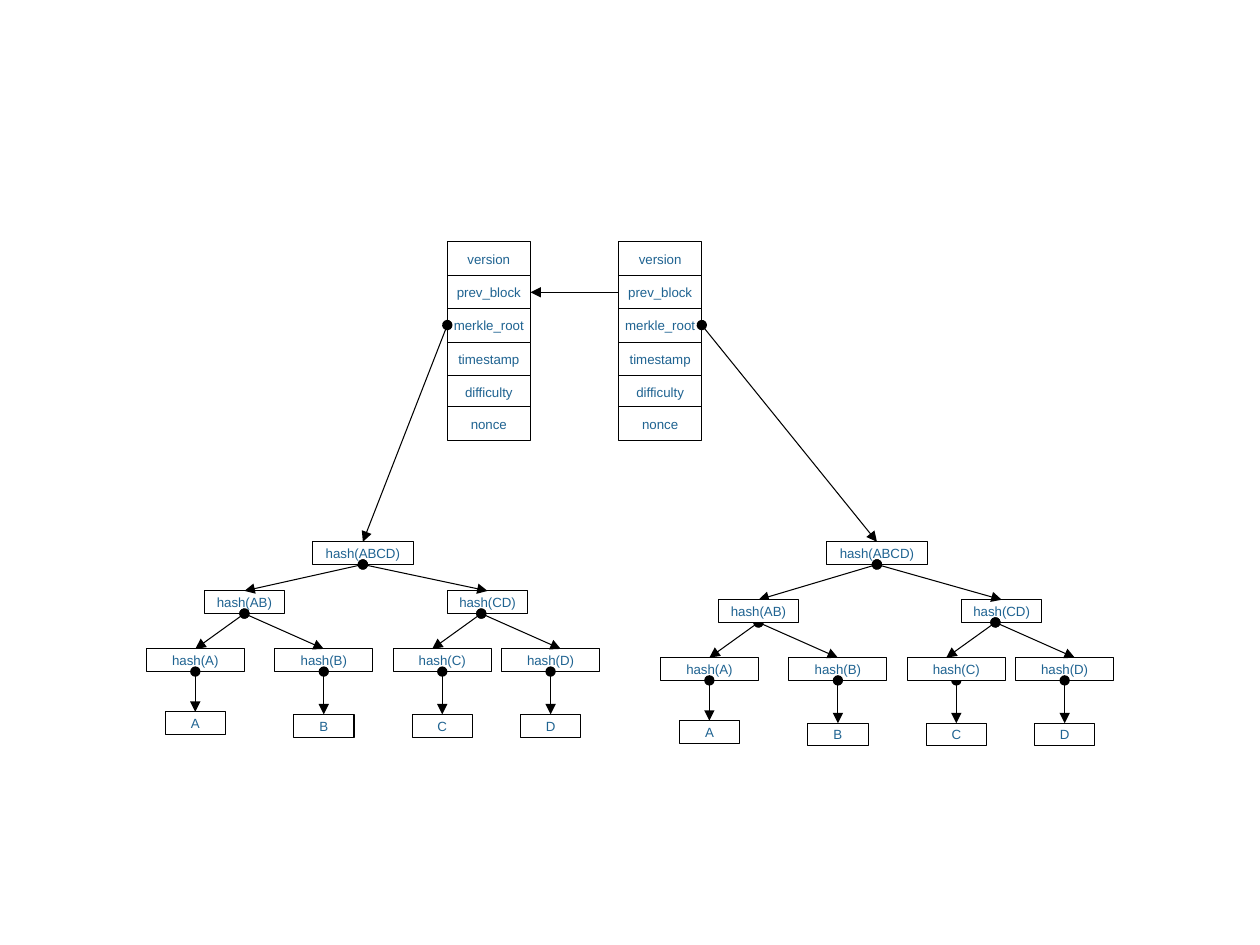
from lxml.etree import SubElement
from pptx import Presentation
from pptx.dml.color import RGBColor
from pptx.enum.shapes import MSO_CONNECTOR, MSO_SHAPE
from pptx.enum.text import MSO_ANCHOR, PP_ALIGN
from pptx.oxml.ns import qn
from pptx.util import Inches, Pt

COLORS = {"fill": "FFFFFF", "line": "000000", "text": "1F6391"}
FIELDS = ["version", "prev_block", "merkle_root", "timestamp", "difficulty"]
TOP, STEP = 1.92, 0.265
CELL_W, CELL_H = 0.66, 0.27
NODE_H = 0.18
ROOT_X, ROOT_Y = 2.88, 4.3
# name, centre, tip of the arrow from above
LEAVES = [("A", 1.55, 1.55), ("B", 2.57, 2.57), ("C", 3.51, 3.43), ("D", 4.37, 4.45)]
# name, centre, start of the arrows below, leaves
PAIRS = [("AB", 1.94, 1.94, LEAVES[:2]), ("CD", 3.87, 3.82, LEAVES[2:])]


def color(name):
    """Return a palette colour."""
    return RGBColor.from_string(COLORS[name])


def box(slide, text, mid, top, width, height=NODE_H):
    """Draw a labelled box centred on mid."""
    shape = slide.shapes.add_shape(
        MSO_SHAPE.RECTANGLE, Inches(mid - width / 2), Inches(top), Inches(width), Inches(height))
    shape.shadow.inherit = False
    shape.fill.solid()
    shape.fill.fore_color.rgb = color("fill")
    shape.line.color.rgb = color("line")
    shape.line.width = Pt(0.6)
    frame = shape.text_frame
    frame.word_wrap = False
    frame.vertical_anchor = MSO_ANCHOR.MIDDLE
    frame.margin_left = frame.margin_right = Inches(0.04)
    frame.margin_top = frame.margin_bottom = 0
    para = frame.paragraphs[0]
    para.alignment = PP_ALIGN.CENTER
    run = para.add_run()
    run.text = text
    run.font.name = "Arial"
    run.font.size = Pt(7.6)
    run.font.color.rgb = color("text")


def arrow(slide, start, end, dot=True):
    """Draw an arrow, with a dot at its start if asked."""
    points = [Inches(v) for v in (*start, *end)]
    link = slide.shapes.add_connector(MSO_CONNECTOR.STRAIGHT, *points)
    link.line.color.rgb = color("line")
    link.line.width = Pt(0.6)
    line = link.line._get_or_add_ln()
    if dot:
        SubElement(line, qn("a:headEnd"), type="oval")
    SubElement(line, qn("a:tailEnd"), type="triangle")
    SubElement(link._element.spPr, qn("a:effectLst"))


def block(slide, left):
    """Draw the header fields of one block."""
    mid = left + CELL_W / 2
    for i, field in enumerate(FIELDS):
        box(slide, field, mid, TOP + i * STEP, CELL_W, CELL_H)
    box(slide, "nonce", mid, 3.23, CELL_W, CELL_H)


def tree(slide, shift, drop, front=()):
    """Draw a hash tree; boxes named in front cover the arrows."""
    pair_y, hash_y, leaf_y = (y + drop for y in (4.69, 5.15, 5.67))
    nodes = [("ABCD", ROOT_X, ROOT_Y, 0.8)]
    nodes += [(name, mid, pair_y, 0.63) for name, mid, _, _ in PAIRS]
    nodes += [(name, mid, hash_y, 0.78) for name, mid, _ in LEAVES]

    def hashes(late):
        for name, mid, top, width in nodes:
            if (name in front) == late:
                box(slide, f"hash({name})", mid + shift, top, width)

    def link(x, y, tip, end):
        arrow(slide, (x + shift, y + NODE_H), (tip + shift, end))

    hashes(False)
    for name, mid, start, leaves in PAIRS:
        link(ROOT_X, ROOT_Y, mid, pair_y)
        for leaf, center, tip in leaves:
            top = leaf_y - (0.02 if leaf == "A" else 0)
            box(slide, leaf, center + shift, top, 0.48)
            link(start, pair_y, tip, hash_y)
            link(center, hash_y, center, top)
    hashes(True)


def main():
    """Build the slide."""
    deck = Presentation()
    deck.slide_width, deck.slide_height = Inches(10), Inches(7.5)
    slide = deck.slides.add_slide(deck.slide_layouts[6])
    left, right, shift = 3.55, 4.91, 4.08
    block(slide, left)
    block(slide, right)
    arrow(slide, (right, 2.32), (left + CELL_W, 2.32), dot=False)
    arrow(slide, (left, 2.58), (ROOT_X, ROOT_Y))
    arrow(slide, (right + CELL_W, 2.58), (ROOT_X + shift, ROOT_Y))
    tree(slide, 0, 0)
    tree(slide, shift, 0.07, front=("AB", "C"))
    deck.save("out.pptx")


main()
